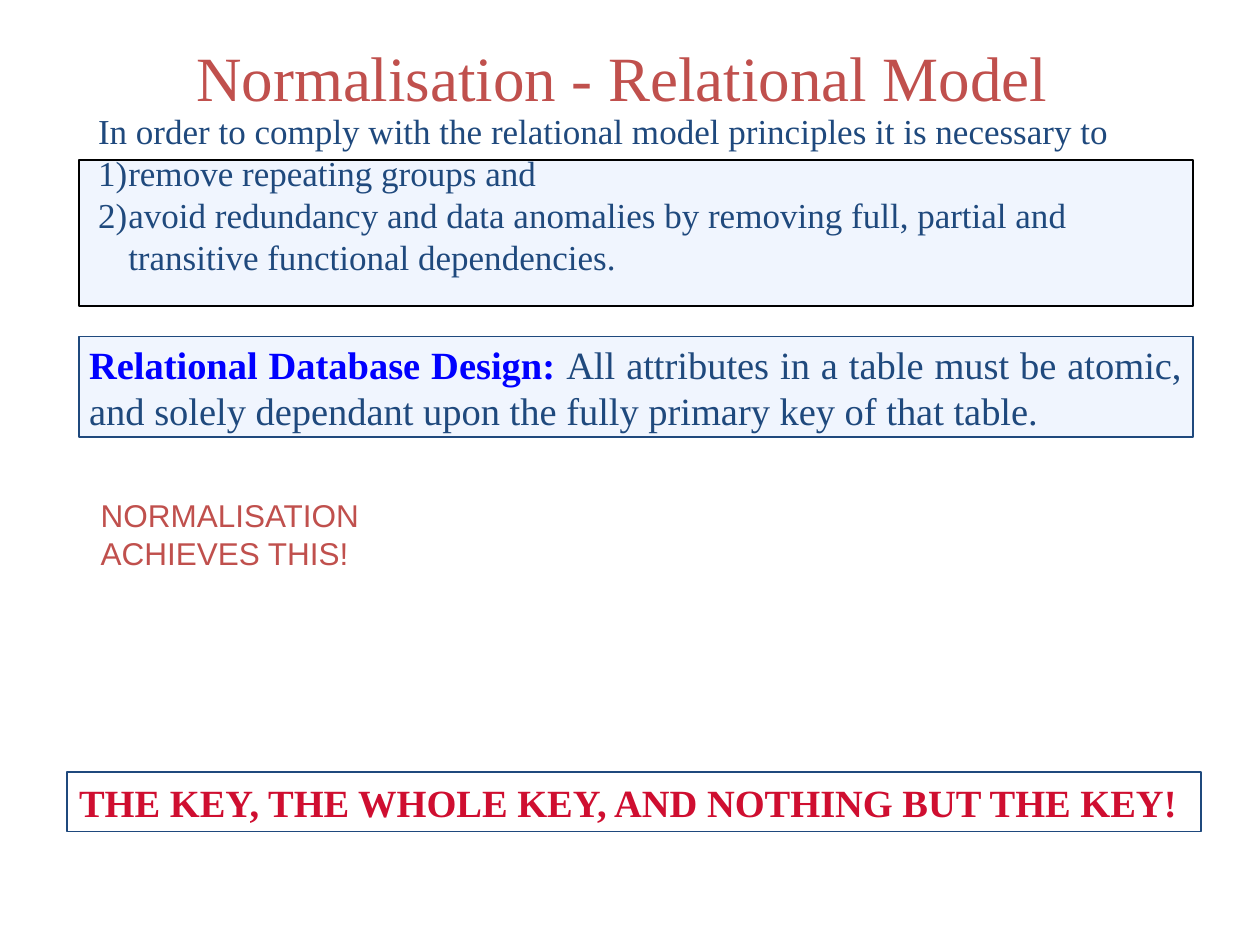
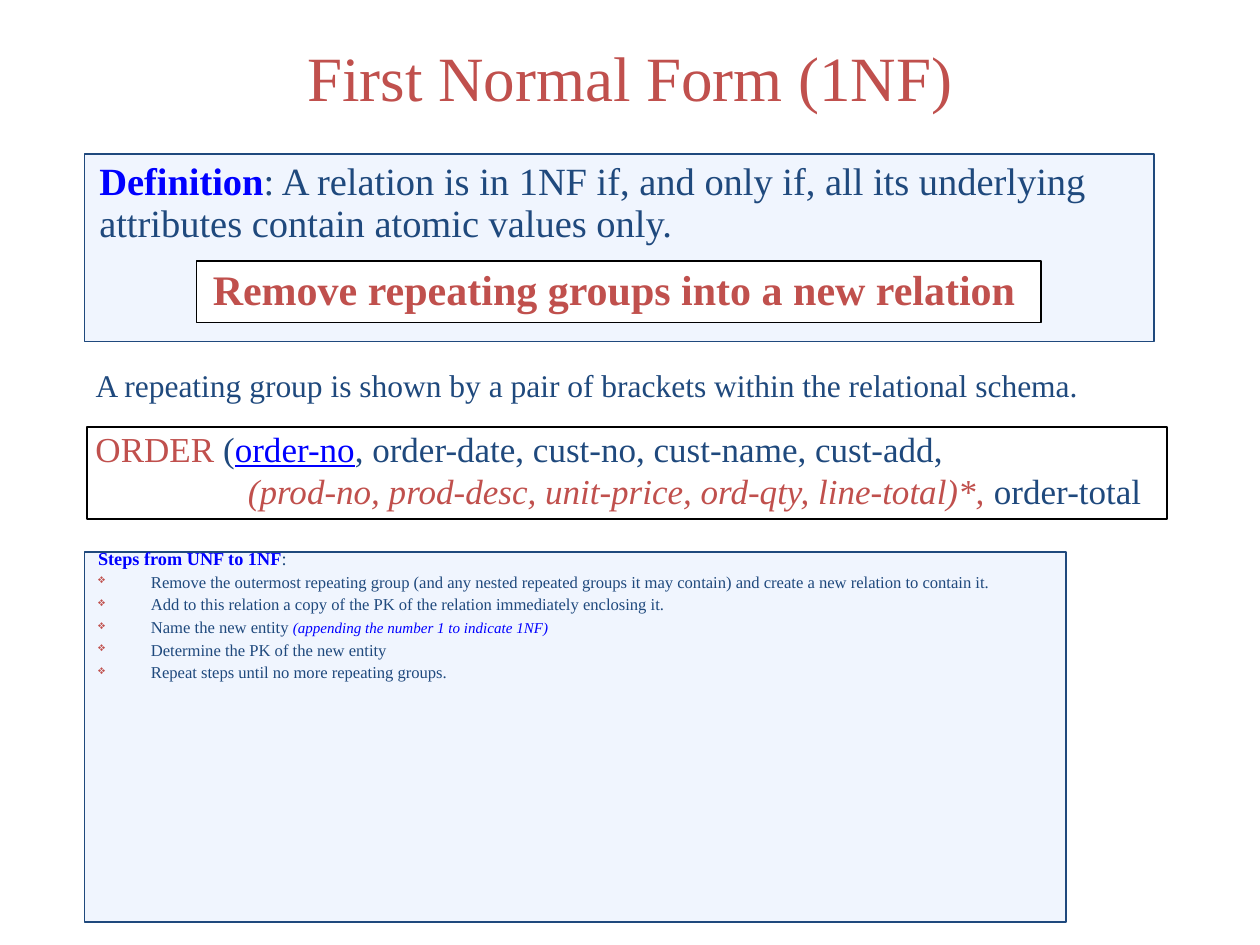
from dataclasses import dataclass

from lxml.etree import SubElement
from pptx import Presentation
from pptx.dml.color import RGBColor
from pptx.enum.shapes import MSO_SHAPE
from pptx.enum.text import MSO_ANCHOR, PP_ALIGN
from pptx.oxml.ns import qn
from pptx.util import Inches, Pt


@dataclass(frozen=True)
class Theme:
    serif: str = "Times New Roman"
    sans: str = "Arial"
    navy: str = "1F497D"
    red: str = "C0504D"
    crimson: str = "CF0E30"
    blue: str = "0000FF"
    black: str = "000000"
    white: str = "FFFFFF"
    pale: str = "F0F5FE"
    title: float = 36
    banner: float = 24
    lead: float = 22
    body: float = 20
    small: float = 18
    head: float = 10.4
    step: float = 9.5
    aside: float = 8.6


THEME = Theme()


@dataclass(frozen=True)
class Span:
    text: str
    color: str = THEME.navy
    size: float = THEME.body
    face: str = THEME.serif
    bold: bool = False
    italic: bool = False
    underline: bool = False


def add_spans(para, spans):
    for span in spans:
        run = para.add_run()
        run.text = span.text
        font = run.font
        font.name, font.size = span.face, Pt(span.size)
        font.bold, font.italic = span.bold, span.italic
        font.underline = span.underline
        font.color.rgb = RGBColor.from_string(span.color)


def add_title(prs, text):
    slide = prs.slides.add_slide(prs.slide_layouts[5])
    title = slide.shapes.title
    title.left = title.top = 0
    title.width, title.height = prs.slide_width, Inches(1.21)
    frame = title.text_frame
    frame.vertical_anchor = MSO_ANCHOR.MIDDLE
    para = frame.paragraphs[0]
    para.alignment = PP_ALIGN.CENTER
    add_spans(para, [Span(text, THEME.red, THEME.title)])
    return slide


def add_panel(slide, box, fill=THEME.pale, line=THEME.navy):
    panel = slide.shapes.add_shape(MSO_SHAPE.RECTANGLE, *map(Inches, box))
    panel.shadow.inherit = False
    panel.fill.solid()
    panel.fill.fore_color.rgb = RGBColor.from_string(fill)
    panel.line.color.rgb = RGBColor.from_string(line)
    panel.line.width = Pt(1)
    return panel


def write(shape, paras, wrap=True, align=PP_ALIGN.LEFT, pitch=None):
    """Fill a shape with paragraphs, each a list of spans."""
    frame = shape.text_frame
    frame.word_wrap = wrap
    frame.vertical_anchor = MSO_ANCHOR.TOP
    for index, spans in enumerate(paras):
        para = frame.add_paragraph() if index else frame.paragraphs[0]
        para.alignment = align
        if pitch:
            para.line_spacing = pitch
        add_spans(para, spans)
    return frame.paragraphs


def add_text(slide, box, paras, **style):
    return write(slide.shapes.add_textbox(*map(Inches, box)), paras, **style)


def indent(para, left, first=0):
    props = para._p.get_or_add_pPr()
    props.set("marL", str(Inches(left)))
    props.set("indent", str(Inches(first)))
    return props


def add_number(para):
    props = indent(para, 0.24, -0.24)
    SubElement(props, qn("a:buFont"), typeface="+mj-lt")
    SubElement(props, qn("a:buAutoNum"), type="arabicParenR")


def add_bullet(para):
    props = indent(para, 0.42, -0.42)
    color = SubElement(props, qn("a:buClr"))
    SubElement(color, qn("a:srgbClr"), val=THEME.red)
    SubElement(props, qn("a:buSzPct"), val="75000")
    SubElement(props, qn("a:buChar"), char="❖")


def build_model(prs):
    slide = add_title(prs, "Normalisation - Relational Model ")
    add_panel(slide, (0.63, 1.27, 8.84, 1.16), line=THEME.black)
    add_panel(slide, (0.63, 2.67, 8.84, 0.8))
    add_text(slide, (0.61, 2.66, 8.87, 0.84), [[
        Span("Relational Database Design: ", THEME.blue, THEME.lead, bold=True),
        Span("All attributes in a table must be atomic, and solely dependant "
             "upon the fully primary key of that table.", size=THEME.lead),
    ]], align=PP_ALIGN.JUSTIFY)

    motto = add_panel(slide, (0.53, 6.13, 9, 0.47), THEME.white)
    write(motto, [[Span("THE KEY, THE WHOLE KEY, AND NOTHING BUT THE KEY!",
                        THEME.crimson, THEME.lead, bold=True)]])

    aims = add_text(slide, (0.68, 0.82, 8.77, 1.77), [
        [Span("In order to comply with the relational model principles "
              "it is necessary to")],
        [Span("remove repeating groups and")],
        [Span("avoid redundancy and data anomalies by removing full, partial "
              "and transitive functional dependencies.")],
    ])
    for para in aims[1:]:
        add_number(para)

    add_text(slide, (0.7, 3.89, 8.72, 1.79), [
        [Span(text, THEME.red, THEME.small, THEME.sans)]
        for text in ("NORMALISATION", "ACHIEVES THIS!")
    ], wrap=False)


def add_steps(slide):
    add_panel(slide, (0.67, 4.38, 7.79, 2.94))
    steps = [
        [Span(text, size=THEME.step)] for text in (
            "Remove the outermost repeating group (and any nested repeated "
            "groups it may contain) and create a new relation to contain it.",
            "Add to this relation a copy of the PK of the relation "
            "immediately enclosing it.",
            "Name the new entity ",
            "Determine the PK of the new entity",
            "Repeat steps until no more repeating groups.",
        )
    ]
    steps[2].append(Span("(appending the number 1 to indicate 1NF)",
                         THEME.blue, THEME.aside, italic=True))
    head = [Span("Steps from UNF to 1NF", THEME.blue, THEME.head, bold=True),
            Span(":", size=THEME.head)]
    paras = add_text(slide, (0.68, 4.34, 8.36, 1.17), [head, *steps], pitch=0.7)
    for para in paras[1:]:
        add_bullet(para)
        para.space_before = Pt(5)


def build_form(prs):
    slide = add_title(prs, "First Normal Form (1NF)")
    add_panel(slide, (0.67, 1.22, 8.49, 1.49))
    add_text(slide, (0.69, 1.24, 8.54, 1.17), [[
        Span("Definition", THEME.blue, THEME.lead, bold=True),
        Span(": A relation is in 1NF if, and only if, all its underlying "
             "attributes contain atomic values only.", size=THEME.lead),
    ]], pitch=0.9)
    add_steps(slide)

    add_panel(slide, (1.56, 2.07, 6.7, 0.49), THEME.white, THEME.black)
    add_text(slide, (1.59, 2.04, 6.59, 0.5), [[
        Span("Remove repeating groups into a new relation",
             THEME.red, THEME.banner, bold=True),
    ]], wrap=False)

    add_text(slide, (0.66, 2.89, 8.55, 0.37), [[
        Span("A repeating group is shown by a pair of brackets within the "
             "relational schema.", size=THEME.small),
    ]], pitch=0.9)
    add_panel(slide, (0.69, 3.39, 8.57, 0.73), THEME.white, THEME.black)
    schema = add_text(slide, (0.66, 3.34, 8.76, 0.77), [
        [Span("ORDER", THEME.red), Span(" ("),
         Span("order-no", THEME.blue, underline=True),
         Span(", order-date, cust-no, cust-name, cust-add,")],
        [Span("(prod-no, prod-desc, unit-price, ord-qty, line-total)*,",
              THEME.red, italic=True),
         Span(" order-total")],
    ])
    indent(schema[1], 1.21)


def main():
    prs = Presentation()
    prs.slide_width, prs.slide_height = Inches(10), Inches(7.5)
    build_model(prs)
    build_form(prs)
    prs.save("out.pptx")


if __name__ == "__main__":
    main()
